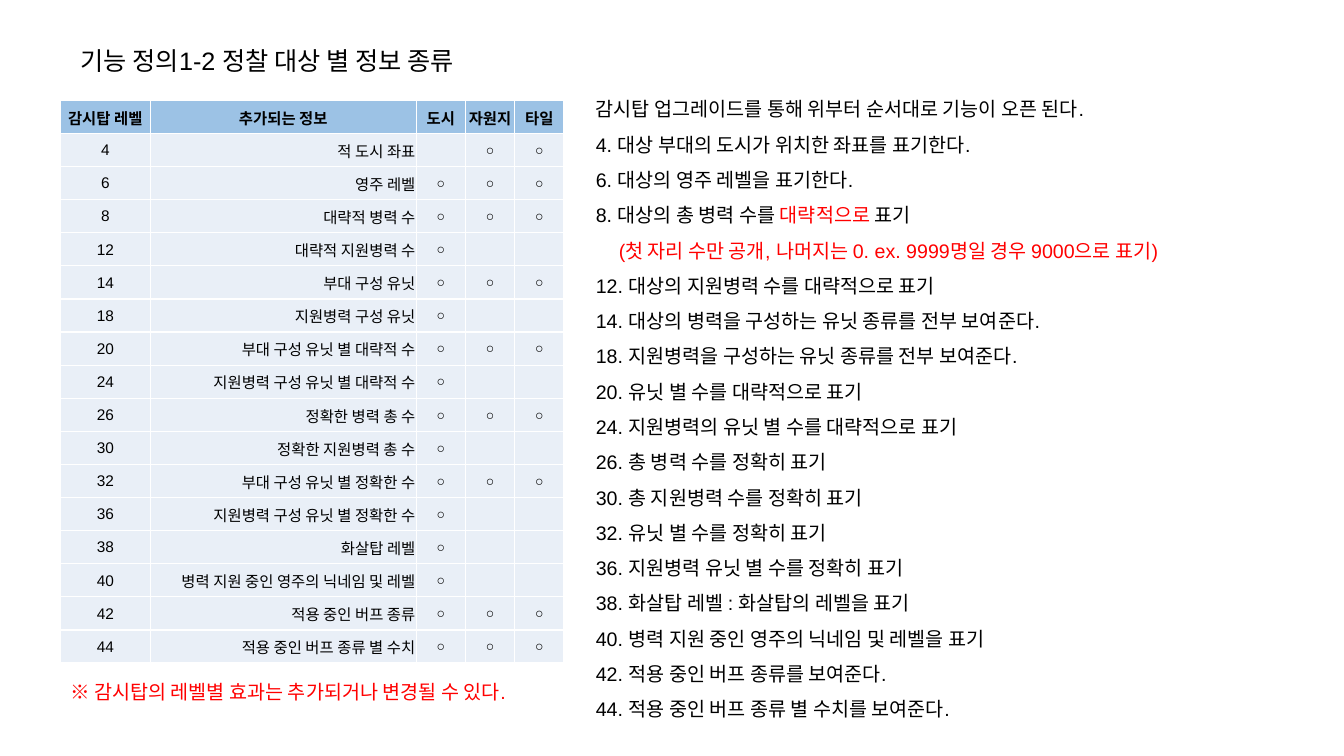
from pptx import Presentation, util as u
from pptx.dml.color import RGBColor
from pptx.enum import text as t
from pptx.oxml import parse_xml
from pptx.oxml.ns import nsdecls

BLACK = RGBColor(0x00, 0x00, 0x00)
RED = RGBColor(0xFF, 0x00, 0x00)
HEADER_BLUE = RGBColor(0x9C, 0xC2, 0xE5)
ROW_BLUE = RGBColor(0xE9, 0xEF, 0xF7)
LEFT, CENTER, RIGHT = t.PP_ALIGN.LEFT, t.PP_ALIGN.CENTER, t.PP_ALIGN.RIGHT

# Content
TITLE = "기능 정의1-2 정찰 대상 별 정보 종류"
HEADER = ("감시탑 레벨", "추가되는 정보", "도시", "자원지", "타일")
ALL = ("○", "○", "○")
CITY = ("○", "", "")
FIELD = ("", "○", "○")
LEVELS = [
    ("4", "적 도시 좌표", *FIELD),
    ("6", "영주 레벨", *ALL),
    ("8", "대략적 병력 수", *ALL),
    ("12", "대략적 지원병력 수", *CITY),
    ("14", "부대 구성 유닛", *ALL),
    ("18", "지원병력 구성 유닛", *CITY),
    ("20", "부대 구성 유닛 별 대략적 수", *ALL),
    ("24", "지원병력 구성 유닛 별 대략적 수", *CITY),
    ("26", "정확한 병력 총 수", *ALL),
    ("30", "정확한 지원병력 총 수", *CITY),
    ("32", "부대 구성 유닛 별 정확한 수", *ALL),
    ("36", "지원병력 구성 유닛 별 정확한 수", *CITY),
    ("38", "화살탑 레벨", *CITY),
    ("40", "병력 지원 중인 영주의 닉네임 및 레벨", *CITY),
    ("42", "적용 중인 버프 종류", *ALL),
    ("44", "적용 중인 버프 종류 별 수치", *ALL),
]
# A line is plain text or a list of (text, colour) parts; "\n" breaks the line
DETAILS = [
    "감시탑 업그레이드를 통해 위부터 순서대로 기능이 오픈 된다.",
    "4. 대상 부대의 도시가 위치한 좌표를 표기한다.",
    "6. 대상의 영주 레벨을 표기한다.",
    [("8. 대상의 총 병력 수를 ", BLACK), ("대략적으로", RED), (" 표기", BLACK), ("\n", BLACK),
     ("(첫 자리 수만 공개, 나머지는 0. ex. 9999명일 경우 9000으로 표기)", RED)],
    "12. 대상의 지원병력 수를 대략적으로 표기",
    "14. 대상의 병력을 구성하는 유닛 종류를 전부 보여준다.",
    "18. 지원병력을 구성하는 유닛 종류를 전부 보여준다.",
    "20. 유닛 별 수를 대략적으로 표기",
    "24. 지원병력의 유닛 별 수를 대략적으로 표기",
    "26. 총 병력 수를 정확히 표기",
    "30. 총 지원병력 수를 정확히 표기",
    "32. 유닛 별 수를 정확히 표기",
    "36. 지원병력 유닛 별 수를 정확히 표기",
    "38. 화살탑 레벨 : 화살탑의 레벨을 표기",
    "40. 병력 지원 중인 영주의 닉네임 및 레벨을 표기",
    "42. 적용 중인 버프 종류를 보여준다.",
    "44. 적용 중인 버프 종류 별 수치를 보여준다.",
]
NOTE = "※ 감시탑의 레벨별 효과는 추가되거나 변경될 수 있다."

# Layout in centimetres
TITLE_AREA = (1.78, 1.02, 11.18, 1.02)
DETAILS_AREA = (14.76, 2.03, 19.11, 16.54)
NOTE_AREA = (1.52, 16.71, 12.83, 1.14)
TABLE_LEFT, TABLE_TOP, TABLE_HEIGHT = 1.52, 2.53, 14.19
COLUMN_WIDTHS = (2.27, 6.7, 1.24, 1.24, 1.24)
HANGING_INDENT = 0.58


def write(frame, lines, size, color=BLACK, bold=False, align=LEFT, spacing=1.0, hanging=0):
    for index, line in enumerate(lines):
        para = frame.add_paragraph() if index else frame.paragraphs[0]
        para.alignment = align
        para.line_spacing = spacing
        para.space_before = u.Pt(0)
        if hanging:
            props = para._p.get_or_add_pPr()
            props.set("marL", str(u.Cm(hanging)))
            props.set("indent", str(-u.Cm(hanging)))
            props.append(parse_xml(f"<a:buNone {nsdecls('a')}/>"))
        for words, tint in [(line, color)] if isinstance(line, str) else line:
            if words == "\n":
                para.add_line_break()
                continue
            span = para.add_run()
            span.text = words
            span.font.name = "Arial"
            span.font.size = u.Pt(size)
            span.font.bold = bold
            span.font.color.rgb = tint


def place(box, area):
    box.left, box.top, box.width, box.height = map(u.Cm, area)
    frame = box.text_frame
    frame.word_wrap = True
    frame.auto_size = t.MSO_AUTO_SIZE.NONE
    frame.vertical_anchor = t.MSO_ANCHOR.TOP
    return frame


def add_borders(cell):
    props = cell._tc.get_or_add_tcPr()
    for position, side in enumerate(("lnL", "lnR", "lnT", "lnB")):
        props.insert(position, parse_xml(
            f'<a:{side} {nsdecls("a")} w="12700"><a:solidFill>'
            f'<a:srgbClr val="FFFFFF"/></a:solidFill></a:{side}>'))


deck = Presentation()
deck.slide_width, deck.slide_height = u.Cm(33.87), u.Cm(19.05)
page = deck.slides.add_slide(deck.slide_layouts[1])

# Title and explanations
write(place(page.shapes.title, TITLE_AREA), [TITLE], size=18)
write(place(page.placeholders[1], DETAILS_AREA), DETAILS,
      size=14, spacing=1.5, hanging=HANGING_INDENT)

# Table of information by watchtower level
rows = [HEADER, *LEVELS]
table = page.shapes.add_table(
    len(rows), len(HEADER), u.Cm(TABLE_LEFT), u.Cm(TABLE_TOP),
    u.Cm(sum(COLUMN_WIDTHS)), u.Cm(TABLE_HEIGHT)).table
for column, width in zip(table.columns, COLUMN_WIDTHS):
    column.width = u.Cm(width)
for r, row in enumerate(rows):
    table.rows[r].height = u.Cm(TABLE_HEIGHT / len(rows))
    for c, words in enumerate(row):
        cell = table.cell(r, c)
        cell.margin_left = cell.margin_right = cell.margin_top = u.Cm(0.02)
        cell.margin_bottom = 0
        cell.vertical_anchor = t.MSO_ANCHOR.MIDDLE
        cell.fill.solid()
        cell.fill.fore_color.rgb = ROW_BLUE if r else HEADER_BLUE
        add_borders(cell)
        if words:
            write(cell.text_frame, [words], size=10 if words == "○" else 11,
                  bold=r == 0, align=RIGHT if r and c == 1 else CENTER)

# Note below the table
note = page.shapes.add_textbox(*map(u.Cm, NOTE_AREA))
write(place(note, NOTE_AREA), [NOTE], size=14, color=RED, spacing=1.5)

deck.save("out.pptx")
